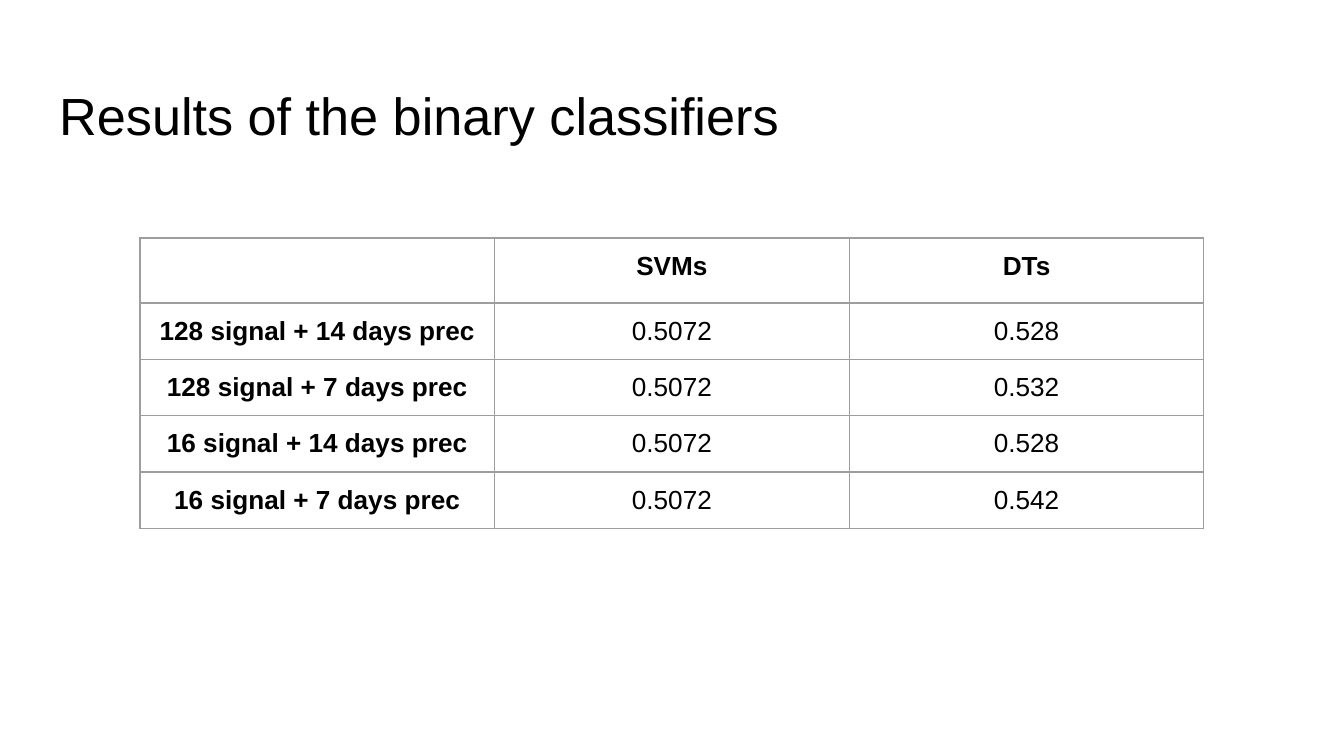
"""Build a slide with a table of binary classifier results."""
from typing import NamedTuple

import pptx
import pptx.dml.color
import pptx.enum.text
import pptx.oxml
import pptx.oxml.ns
import pptx.util

Pt = pptx.util.Pt
FONT = "Arial"
BLACK = "000000"
GRID = "9E9E9E"
INSET = 7.2
COL_W = 190
HEADER_H = 34.8
ROW_H = 30.2


class Result(NamedTuple):
    features: str
    svm: str
    dt: str


HEADER = Result("", "SVMs", "DTs")
RESULTS = [
    Result("128 signal + 14 days prec", "0.5072", "0.528"),
    Result("128 signal + 7 days prec", "0.5072", "0.532"),
    Result("16 signal + 14 days prec", "0.5072", "0.528"),
    Result("16 signal + 7 days prec", "0.5072", "0.542"),
]


def rgb(color: str) -> pptx.dml.color.RGBColor:
    return pptx.dml.color.RGBColor.from_string(color)


def set_font(p, size: float, bold: bool = False) -> None:
    p.font.name = FONT
    p.font.size = Pt(size)
    p.font.bold = bold
    p.font.color.rgb = rgb(BLACK)


def set_borders(cell, color: str, width: float) -> None:
    pr = cell._tc.get_or_add_tcPr()
    for i, side in enumerate(("lnL", "lnR", "lnT", "lnB")):
        pr.insert(i, pptx.oxml.parse_xml(
            f'<a:{side} {pptx.oxml.ns.nsdecls("a")} w="{Pt(width)}">'
            f'<a:solidFill><a:srgbClr val="{color}"/></a:solidFill></a:{side}>'))


def add_title(s, text: str) -> None:
    sp = s.shapes.title
    sp.left, sp.top, sp.width, sp.height = Pt(24.5), Pt(35), Pt(671), Pt(45)
    tf = sp.text_frame
    tf.text = text
    tf.word_wrap = True
    tf.auto_size = pptx.enum.text.MSO_AUTO_SIZE.NONE
    tf.vertical_anchor = pptx.enum.text.MSO_ANCHOR.TOP
    tf.margin_left = tf.margin_right = tf.margin_bottom = Pt(INSET)
    tf.margin_top = Pt(9.6)
    p = tf.paragraphs[0]
    p.alignment = pptx.enum.text.PP_ALIGN.LEFT
    p.line_spacing = 1.0
    p.space_before = Pt(0)
    set_font(p, 28)


def fill_cell(cell, text: str, bold: bool) -> None:
    cell.text = text
    cell.fill.background()
    cell.margin_left = cell.margin_right = Pt(INSET)
    cell.margin_top = cell.margin_bottom = Pt(INSET)
    p = cell.text_frame.paragraphs[0]
    p.alignment = pptx.enum.text.PP_ALIGN.CENTER
    set_font(p, 14, bold)
    set_borders(cell, GRID, 0.75)


def add_results(s, rows: list[Result]) -> None:
    n_cols = len(Result._fields)
    height = HEADER_H + ROW_H * (len(rows) - 1)
    table = s.shapes.add_table(len(rows), n_cols, Pt(75), Pt(127.5),
                               Pt(COL_W * n_cols), Pt(height)).table
    table.first_row = table.horz_banding = False
    for column in table.columns:
        column.width = Pt(COL_W)
    for i, row in enumerate(rows):
        table.rows[i].height = Pt(ROW_H if i else HEADER_H)
        for j, text in enumerate(row):
            fill_cell(table.cell(i, j), text, bold=i == 0 or j == 0)


def main() -> None:
    prs = pptx.Presentation()
    prs.slide_width, prs.slide_height = Pt(720), Pt(405)
    s = prs.slides.add_slide(prs.slide_layouts[5])
    add_title(s, "Results of the binary classifiers")
    add_results(s, [HEADER, *RESULTS])
    prs.save("out.pptx")


if __name__ == "__main__":
    main()
